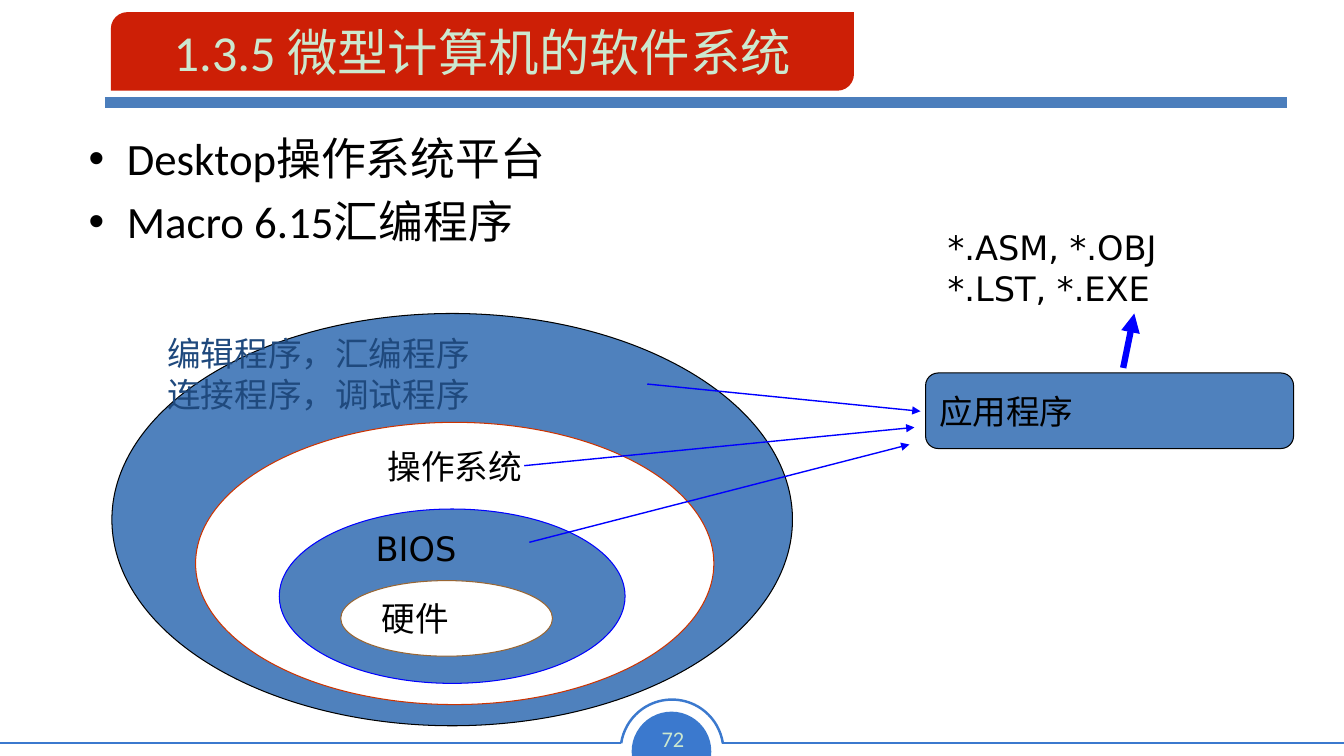
import pptx
import pptx.util
import pptx.dml.color
import pptx.enum.shapes
import pptx.enum.text
import pptx.oxml.ns
from lxml import etree

Inches = pptx.util.Inches
Pt = pptx.util.Pt
RGBColor = pptx.dml.color.RGBColor
Shape = pptx.enum.shapes.MSO_SHAPE
Align = pptx.enum.text.PP_ALIGN
Anchor = pptx.enum.text.MSO_ANCHOR
qn = pptx.oxml.ns.qn

WHITE = RGBColor(0xFF, 0xFF, 0xFF)
PALE = RGBColor(0xCC, 0xE8, 0xCF)
RED = RGBColor(0xCD, 0x1F, 0x06)
RULE_BLUE = RGBColor(0x4B, 0x7E, 0xBC)
FOOTER_BLUE = RGBColor(0x3B, 0x79, 0xCE)
FILL_BLUE = RGBColor(0x4F, 0x81, 0xBD)
NAVY = RGBColor(0x1F, 0x49, 0x7D)
BLUE = RGBColor(0x00, 0x00, 0xFF)
RUST = RGBColor(0xCC, 0x33, 0x00)
BROWN = RGBColor(0x99, 0x66, 0x33)
BLACK = RGBColor(0x00, 0x00, 0x00)


def add_figure(page, kind, box, fill=None, line=None, line_width=0.75):
    figure = page.shapes.add_shape(kind, *[Inches(length) for length in box])
    figure.shadow.inherit = False
    if fill is None:
        figure.fill.background()
    else:
        figure.fill.solid()
        figure.fill.fore_color.rgb = fill
    if line is None:
        figure.line.fill.background()
    else:
        figure.line.color.rgb = line
        figure.line.width = Pt(line_width)
    return figure


def add_line(page, start, end, color, width, arrow=False):
    line = page.shapes.add_connector(
        pptx.enum.shapes.MSO_CONNECTOR.STRAIGHT,
        *[Inches(length) for length in (*start, *end)])
    line.line.color.rgb = color
    line.line.width = Pt(width)
    if arrow:
        outline = line._element.spPr.find(qn("a:ln"))
        etree.SubElement(outline, qn("a:tailEnd"), type="triangle")
    etree.SubElement(line._element.spPr, qn("a:effectLst"))


def add_bullet(para):
    properties = para._p.get_or_add_pPr()
    properties.set("marL", str(Inches(0.38)))
    properties.set("indent", str(Inches(-0.38)))
    etree.SubElement(properties, qn("a:buFont"), typeface="Arial")
    etree.SubElement(properties, qn("a:buChar"), char="•")


def write(box, lines, size, color, font, align=Align.LEFT, wrap=False, bullets=False):
    """Fill a shape or text box with one paragraph per line."""
    frame = box.text_frame
    frame.word_wrap = wrap
    frame.text = "\n".join(lines)
    for para in frame.paragraphs:
        if bullets:
            add_bullet(para)
        para.alignment = align
        para.font.size = Pt(size)
        para.font.name = font
        para.font.color.rgb = color
    return frame


def add_label(page, kind, box, lines, color=BLACK, fill=None, line=None):
    figure = add_figure(page, kind, box, fill, line)
    frame = write(figure, lines, 24, color, "DejaVu Sans")
    frame.vertical_anchor = Anchor.MIDDLE


def add_footer(page, box):
    """Page number in a half disc that interrupts the bottom rule."""
    left, top, width, height = box
    center = left + width / 2
    disc = add_figure(page, Shape.CHORD, (center - 0.4, top + 0.12, 0.79, 0.79), FOOTER_BLUE)
    disc.rotation = 112.4
    disc.adjustments[0], disc.adjustments[1] = 35.77, 153.29
    rule_top = top + 0.43
    add_line(page, (center + 0.5, rule_top), (left + width, rule_top), FOOTER_BLUE, 1.77)
    add_line(page, (left, rule_top), (center - 0.51, rule_top), FOOTER_BLUE, 1.77)
    ring = add_figure(page, Shape.ARC, (center - 0.51, top, 1.02, 1.02),
                      line=FOOTER_BLUE, line_width=1.77)
    ring.adjustments[0], ring.adjustments[1] = 113.17, 210.98
    number = page.shapes.add_textbox(
        Inches(center - 0.22), Inches(top + 0.2), Inches(0.46), Inches(0.37))
    write(number, ["72"], 16, PALE, "Calibri", Align.CENTER)


def add_title(page, box):
    left, top, width, height = box
    add_line(page, (left - 0.06, top + 0.9), (left + 11.66, top + 0.9), RULE_BLUE, 8)
    banner = add_figure(page, Shape.ROUND_2_DIAG_RECTANGLE, box, RED)
    banner.adjustments[0], banner.adjustments[1] = 0.21, 0
    frame = write(banner, ["1.3.5 微型计算机的软件系统"], 36, PALE, "Calibri",
                  Align.CENTER, wrap=True)
    frame.vertical_anchor = Anchor.MIDDLE


def add_bullets(page, box, lines):
    body = page.shapes.add_textbox(*[Inches(length) for length in box])
    frame = write(body, lines, 32, BLACK, "Calibri", wrap=True, bullets=True)
    for para in frame.paragraphs[1:]:
        para.space_before = Pt(6.4)


def add_layers(page, box):
    """Nested ellipses from hardware out to the development tools."""
    left, top, width, height = box
    add_figure(page, Shape.OVAL, box, FILL_BLUE, BLACK)
    add_figure(page, Shape.OVAL, (left + 0.83, top + 1.08, 5.14, 2.8), WHITE, RUST)
    add_figure(page, Shape.OVAL, (left + 1.66, top + 1.94, 3.43, 1.73), FILL_BLUE, BLUE)
    add_label(page, Shape.OVAL, (left + 2.27, top + 2.65, 2.1, 0.75), ["硬件"],
              fill=WHITE, line=BROWN)
    add_label(page, Shape.OVAL, (left + 2.21, top + 2, 2.1, 0.65), ["BIOS"])
    add_label(page, Shape.OVAL, (left + 2.33, top + 1.19, 2.1, 0.65), ["操作系统"])
    add_label(page, Shape.FLOWCHART_PROCESS, (left + 0.45, top + 0.11, 5.75, 0.97),
              ["编辑程序，汇编程序", "连接程序，调试程序"], NAVY)


def add_application(page, box):
    """Application box, the arrows into it and the files it yields."""
    left, top, width, height = box
    add_label(page, Shape.FLOWCHART_ALTERNATE_PROCESS, box, ["应用程序"],
              fill=FILL_BLUE, line=BLACK)
    add_label(page, Shape.FLOWCHART_PROCESS, (left + 0.12, top - 1.53, 3.62, 0.97),
              ["*.ASM, *.OBJ", "*.LST, *.EXE"])
    arrows = [
        ((-2.76, 0.11), (-0.05, 0.38), 1),
        ((-3.98, 0.92), (-0.11, 0.54), 1),
        ((-3.93, 1.68), (-0.16, 0.71), 1),
        ((1.96, -0.05), (2.07, -0.59), 4.5),
    ]
    for start, end, line_width in arrows:
        add_line(page, (left + start[0], top + start[1]),
                 (left + end[0], top + end[1]), BLUE, line_width, arrow=True)


def main():
    deck = pptx.Presentation()
    deck.slide_width = Inches(13.33)
    deck.slide_height = Inches(7.5)
    page = deck.slides.add_slide(deck.slide_layouts[6])
    page.background.fill.solid()
    page.background.fill.fore_color.rgb = WHITE
    add_footer(page, (0, 6.94, 13.33, 0.56))
    add_bullets(page, (0.78, 1.25, 12.11, 1.42),
                ["Desktop操作系统平台", "Macro 6.15汇编程序"])
    add_layers(page, (1.11, 3.11, 6.75, 4.09))
    add_application(page, (9.18, 3.7, 3.65, 0.75))
    add_title(page, (1.1, 0.12, 7.37, 0.78))
    deck.save("out.pptx")


if __name__ == "__main__":
    main()
